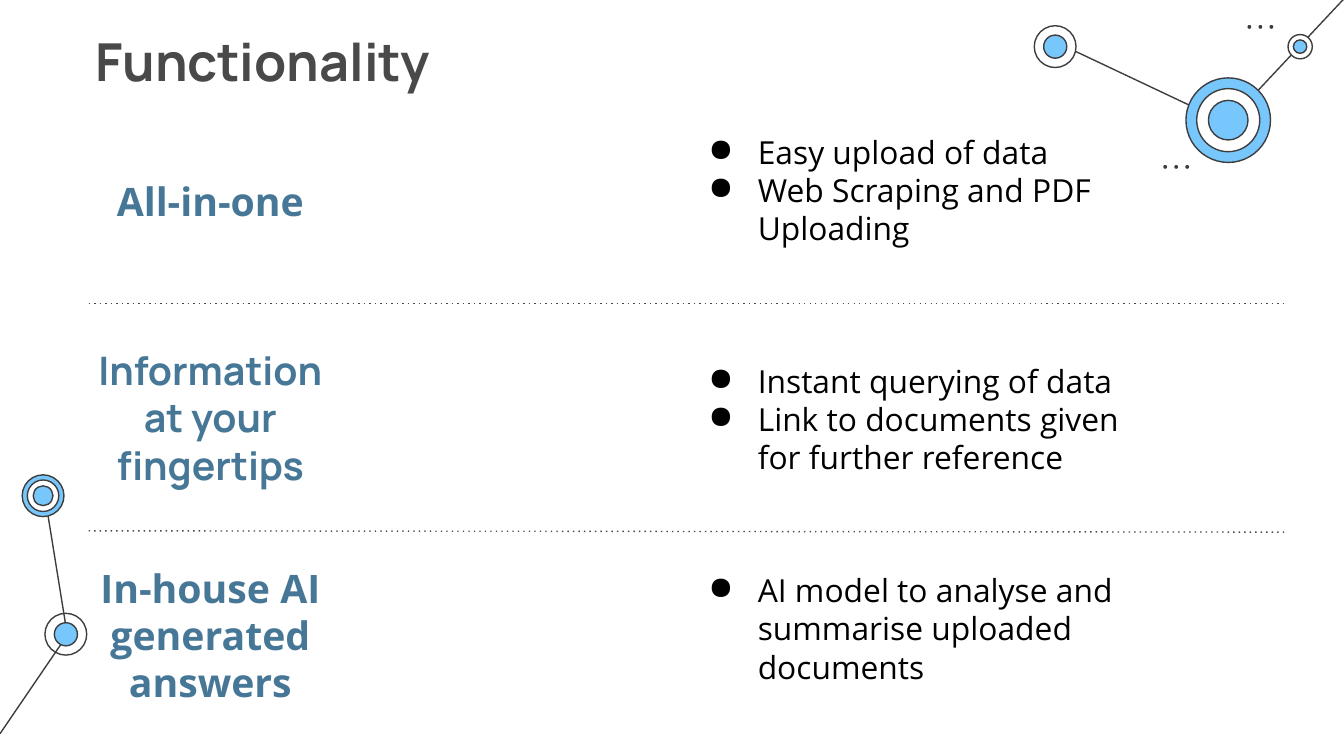
import pptx
import pptx.dml.color
import pptx.enum.shapes
import pptx.enum.text
import pptx.oxml.ns
import pptx.util
from lxml import etree

Pt = pptx.util.Pt
RGB = pptx.dml.color.RGBColor
ALIGN = pptx.enum.text.PP_ALIGN
ANCHOR = pptx.enum.text.MSO_ANCHOR
OVAL = pptx.enum.shapes.MSO_SHAPE.OVAL
qn = pptx.oxml.ns.qn

INK = RGB(0x3D, 0x3D, 0x3D)
GREY = RGB(0x49, 0x49, 0x49)
SKY = RGB(0x77, 0xC6, 0xFC)
STEEL = RGB(0x47, 0x77, 0x97)
WHITE = RGB(0xFF, 0xFF, 0xFF)
BLACK = RGB(0, 0, 0)

# Links of the corner networks: x1, y1, x2, y2
LINKS = [
    (36, 339.8, 23.8, 264.2),
    (0, 393.1, 35.3, 341.3),
    (658, 66.2, 566.6, 23),
    (720, -0.7, 658, 65.5),
]
# Nodes: centre x, centre y, rings from outside in as (diameter, fill)
NODES = [
    (35.3, 339.8, [(22.4, None), (12.4, SKY)]),
    (23.1, 265.6, [(22.4, SKY), (16.9, WHITE), (10.6, SKY)]),
    (658, 64.4, [(45.3, SKY), (33.8, WHITE), (21.2, SKY)]),
    (565.3, 25, [(22.4, WHITE), (12.4, SKY)]),
    (696.5, 25, [(13, WHITE), (7.2, SKY)]),
]
# Ellipsis marks: left, top
DOTS = [(668.3, 13.4), (623.2, 88.4)]

# Rows: heading, heading font, heading top, bullets, bullets top
ROWS = [
    ("All-in-one", "Open Sans", 92.9,
     ["Easy upload of data", "Web Scraping and PDF Uploading"], 64.1),
    ("Information at your fingertips", "Manrope", 208.8,
     ["Instant querying of data",
      "Link to documents given for further reference"], 186.5),
    ("In-house AI generated answers", "Open Sans", 325.4,
     ["AI model to analyse and summarise uploaded documents"], 298.8),
]
DIVIDERS = [(162.7, 162.7), (284.4, 285.1)]


def add_line(s, x1, y1, x2, y2, color, dotted=False):
    c = s.shapes.add_connector(pptx.enum.shapes.MSO_CONNECTOR.STRAIGHT,
                               Pt(x1), Pt(y1), Pt(x2), Pt(y2))
    c.line.color.rgb = color
    c.line.width = Pt(0.75)
    if dotted:
        ln = c.line._get_or_add_ln()
        etree.SubElement(ln, qn("a:prstDash")).set("val", "dot")
    etree.SubElement(c._element.spPr, qn("a:effectLst"))


def add_disc(s, cx, cy, d, fill, line=None):
    sp = s.shapes.add_shape(OVAL, Pt(cx - d / 2), Pt(cy - d / 2), Pt(d), Pt(d))
    sp.shadow.inherit = False
    if fill is None:
        sp.fill.background()
    else:
        sp.fill.solid()
        sp.fill.fore_color.rgb = fill
    if line is None:
        sp.line.fill.background()
    else:
        sp.line.color.rgb = line
        sp.line.width = Pt(0.75)


def add_bullet(p):
    pPr = p._p.get_or_add_pPr()
    pPr.set("marL", str(Pt(36)))
    pPr.set("indent", str(Pt(-26.5)))
    clr = etree.SubElement(pPr, qn("a:buClr"))
    etree.SubElement(clr, qn("a:srgbClr")).set("val", str(BLACK))
    etree.SubElement(pPr, qn("a:buChar")).set("char", "●")


def add_text(s, lines, x, y, w, h, *, size, font, color, bold=False,
             align=ALIGN.LEFT, anchor=ANCHOR.TOP, bullets=False):
    tf = s.shapes.add_textbox(Pt(x), Pt(y), Pt(w), Pt(h)).text_frame
    tf.word_wrap = True
    tf.vertical_anchor = anchor
    tf.margin_left = tf.margin_right = Pt(7.2)
    tf.margin_top = tf.margin_bottom = Pt(7.2)
    for i, line in enumerate(lines):
        p = tf.add_paragraph() if i else tf.paragraphs[0]
        p.alignment = align
        if bullets:
            add_bullet(p)
        r = p.add_run()
        r.text = line
        r.font.size = Pt(size)
        r.font.name = font
        r.font.bold = bold
        r.font.color.rgb = color


def main():
    prs = pptx.Presentation()
    prs.slide_width, prs.slide_height = Pt(720), Pt(405)
    s = prs.slides.add_slide(prs.slide_layouts[6])
    s.background.fill.solid()
    s.background.fill.fore_color.rgb = WHITE

    # Corner networks
    for link in LINKS:
        add_line(s, *link, INK)
    for cx, cy, rings in NODES:
        for d, fill in rings:
            add_disc(s, cx, cy, d, fill, line=INK)
    for x, y in DOTS:
        for i in range(3):
            add_disc(s, x + 1 + 5.9 * i, y + 1, 2, INK)

    # Title
    add_text(s, ["Functionality"], 43.9, 8.6, 321.8, 45.4,
             size=28, font="Manrope", color=GREY, bold=True)

    # Rows
    for heading, font, top, items, items_top in ROWS:
        add_text(s, [heading], 36, top, 153.4, 29.5, size=21, font=font,
                 color=STEEL, bold=True, align=ALIGN.CENTER,
                 anchor=ANCHOR.MIDDLE)
        add_text(s, items, 362.9, items_top, 254.2, 74.9, size=17,
                 font="Open Sans", color=BLACK, bullets=True)

    # Dividers
    for y1, y2 in DIVIDERS:
        add_line(s, 47.5, y1, 689, y2, GREY, dotted=True)

    prs.save("out.pptx")


if __name__ == "__main__":
    main()
